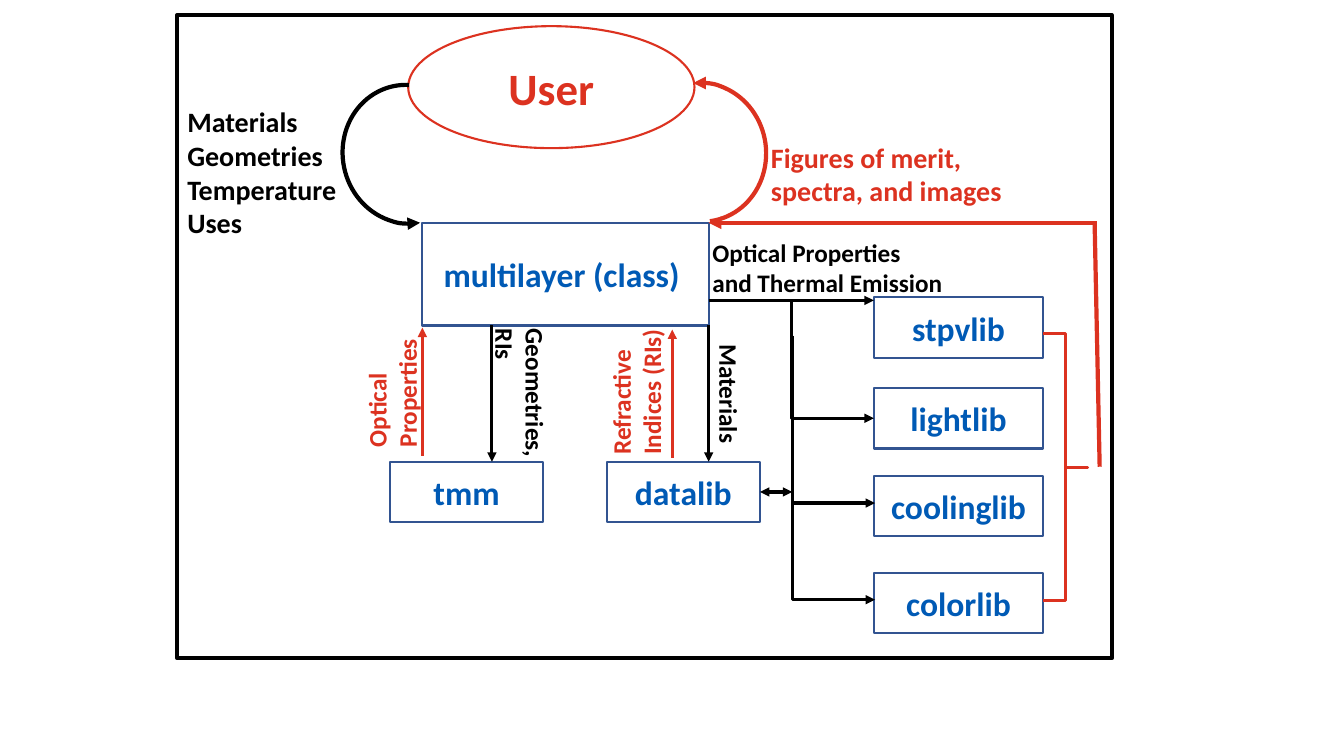
from lxml import etree
from pptx import Presentation
from pptx.dml.color import RGBColor
from pptx.enum.shapes import MSO_CONNECTOR, MSO_SHAPE
from pptx.enum.text import MSO_ANCHOR, PP_ALIGN
from pptx.oxml.ns import qn
from pptx.util import Pt

RECT, ELLIPSE = MSO_SHAPE.RECTANGLE, MSO_SHAPE.OVAL
ARC, BRACE = MSO_SHAPE.ARC, MSO_SHAPE.RIGHT_BRACE
STRAIGHT, ELBOW = MSO_CONNECTOR.STRAIGHT, MSO_CONNECTOR.ELBOW
CENTER, MIDDLE = PP_ALIGN.CENTER, MSO_ANCHOR.MIDDLE

FONT = "Calibri"
COLORS = {"black": "000000", "red": "DC3220", "blue": "005AB5", "border": "325491"}
MODULE_W, MODULE_H = 109.4, 43.2


def rgb(name):
    return RGBColor.from_string(COLORS[name])


def style_line(sp, color, width, arrows=()):
    sp.line.color.rgb = rgb(color)
    sp.line.width = Pt(width)
    ln = sp.line._get_or_add_ln()
    for end in arrows:
        etree.SubElement(ln, qn(f"a:{end}"), type="triangle")


def write(tf, lines, size, color, align=None):
    for i, line in enumerate(lines):
        p = tf.paragraphs[0] if i == 0 else tf.add_paragraph()
        p.text = line
        p.alignment = align
        p.font.name, p.font.size, p.font.bold = FONT, Pt(size), True
        p.font.color.rgb = rgb(color)


def outline(s, kind, x, y, w, h, color, width, adj=(), rotation=0, arrows=()):
    sp = s.shapes.add_shape(kind, Pt(x), Pt(y), Pt(w), Pt(h))
    sp.shadow.inherit = False
    sp.fill.background()
    sp.rotation = rotation
    for i, value in enumerate(adj):
        sp.adjustments[i] = value
    style_line(sp, color, width, arrows)
    return sp


def node(s, text, x, y, w, h, kind=RECT, size=24, color="blue", border="border"):
    sp = outline(s, kind, x, y, w, h, border, 1.5)
    sp.text_frame.vertical_anchor = MIDDLE
    write(sp.text_frame, [text], size, color, CENTER)


def label(s, lines, x, y, w, h, size, color, rotation=0, wrap=False):
    sp = s.shapes.add_textbox(Pt(x), Pt(y), Pt(w), Pt(h))
    sp.rotation = rotation
    sp.text_frame.word_wrap = wrap
    write(sp.text_frame, lines, size, color)


def connect(s, x1, y1, x2, y2, color="black", width=2.25,
            arrows=("tailEnd",), kind=STRAIGHT, bend=None):
    c = s.shapes.add_connector(kind, Pt(x1), Pt(y1), Pt(x2), Pt(y2))
    etree.SubElement(c._element.spPr, qn("a:effectLst"))
    style_line(c, color, width, arrows)
    if bend is not None:
        guides = c._element.spPr.find(qn("a:prstGeom")).get_or_add_avLst()
        etree.SubElement(guides, qn("a:gd"), name="adj1", fmla=f"val {bend}")


def user_region(s, x, y):
    node(s, "User", x + 164.9, y + 7.9, 204.5, 87.1, ELLIPSE, 32, "red", "red")
    # Request loop down to the class, result loop back up
    for dx, dy, end, rotation, color in [(118.1, 49.7, 61.616, 168.3, "black"),
                                         (327.6, 48.2, 54.382, 352, "red")]:
        outline(s, ARC, x + dx, y + dy, 92.9, 99.4, color, 3,
                (162.902, end), rotation, ("headEnd",))
    label(s, ["Materials Geometries", "Temperature Uses"],
          x, y + 60.5, 127.4, 104.4, 20, "black", wrap=True)
    label(s, ["Figures of merit, spectra, and images"],
          x + 416.9, y + 85.7, 202.3, 55.4, 20, "red", wrap=True)


def class_region(s, x, y, w, h):
    node(s, "multilayer (class) ", x, y, w, h)
    for text, dx in [("tmm", -23.1), ("datalib", 131.7)]:
        node(s, text, x + dx, y + 170.7, MODULE_W, MODULE_H)

    # Calls go down in black, answers come up in red
    for dx in (49.7, w):
        connect(s, x + dx, y + h, x + dx, y + 170.7)
    for dx, dy in [(0, 74.9), (178.5, 76.3)]:
        connect(s, x + dx, y + dy + 91.5, x + dx, y + dy, "red")

    # Sideways captions
    for lines, dx, dy, tw, th, color, rotation, wrap in [
        (["Materials"], 176.4, 108, 85.7, 28.8, "black", 90, False),
        (["Refractive", "Indices (RIs)"], 84.9, 79.2, 136.1, 51.1, "red", 270, True),
        (["Geometries,", "RIs"], 16.5, 96.5, 106.6, 51.1, "black", 90, False),
        (["Optical", "Properties"], -67.7, 95.8, 92.2, 51.1, "red", 270, False),
    ]:
        label(s, lines, x + dx, y + dy, tw, th, 18, color, rotation, wrap)


def library_region(s, x, y, w):
    for text, dy in [("stpvlib", 0), ("lightlib", 64.8),
                     ("coolinglib", 127.4), ("colorlib", 196.6)]:
        node(s, text, x, y + dy, w, MODULE_H)

    # Branches from the class to each library
    trunk, left = x - 58.3, x - 118
    connect(s, left, y + 2.2, x, y + 2.2)
    connect(s, left + 0.7, y + 2.2, x, y + 86.4, kind=ELBOW)
    for top, bottom in [(27.4, 146.9), (95.8, 216)]:
        connect(s, trunk, y + top, x + 0.8, y + bottom, kind=ELBOW, bend=0)
    connect(s, x - 81.3, y + 139, trunk, y + 139, arrows=("headEnd", "tailEnd"))
    label(s, ["Optical Properties", "and Thermal Emission"],
          x - 122.4, y - 46.8, 180, 51.1, 18, "black")

    # Results gathered and returned to the class
    outline(s, BRACE, x + w, y + 25.9, 31.7, 190.8, "red", 2.25, (0, 0.5))
    connect(s, x + 161.3, y + 121, x + 157.7, y - 53.3, "red", 3, ())
    connect(s, x + 159.2, y - 53.3, left, y - 53.3, "red", 3)


def main():
    prs = Presentation()
    prs.slide_width, prs.slide_height = Pt(960), Pt(540)
    s = prs.slides.add_slide(prs.slide_layouts[6])
    outline(s, RECT, 126.7, 10.8, 667.4, 459.4, "black", 3)
    user_region(s, 126.7, 10.8)
    class_region(s, 301.7, 159.1, 204.5, 73.4)
    library_region(s, 624.2, 212.4, 121)
    prs.save("out.pptx")


if __name__ == "__main__":
    main()
